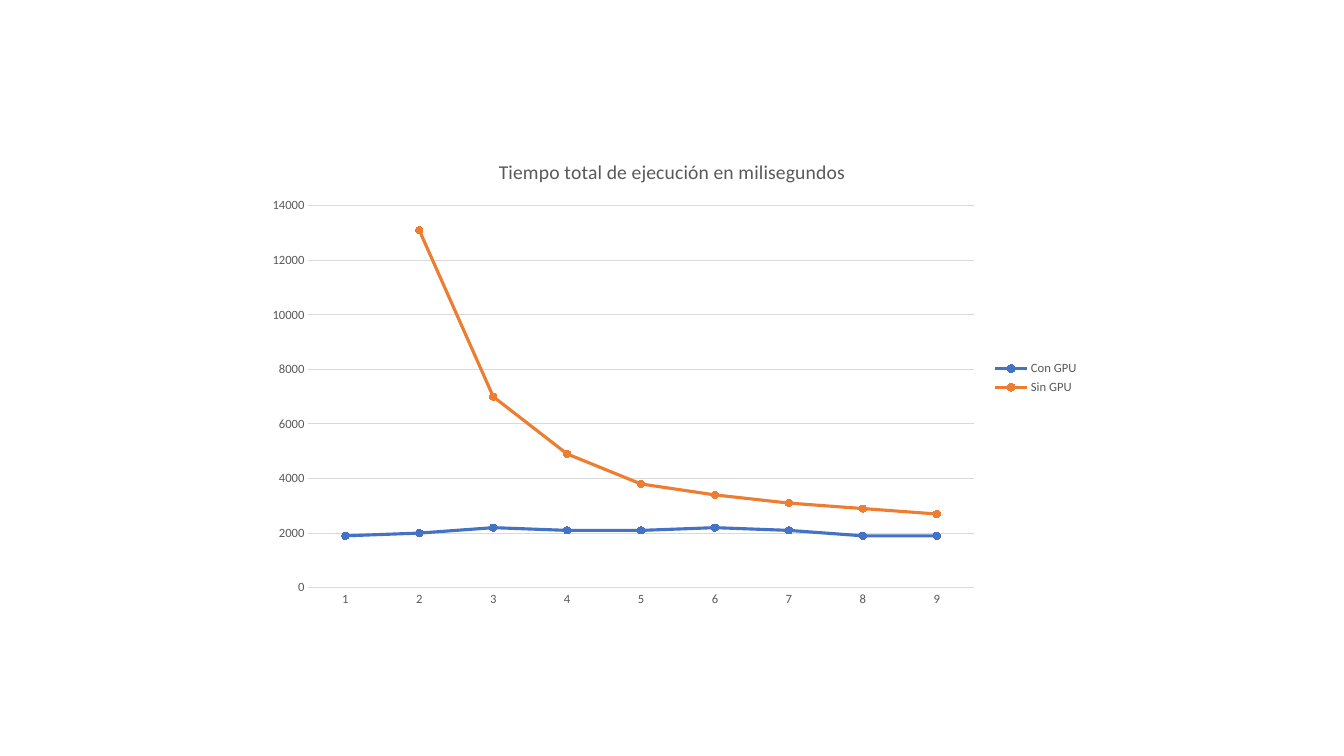
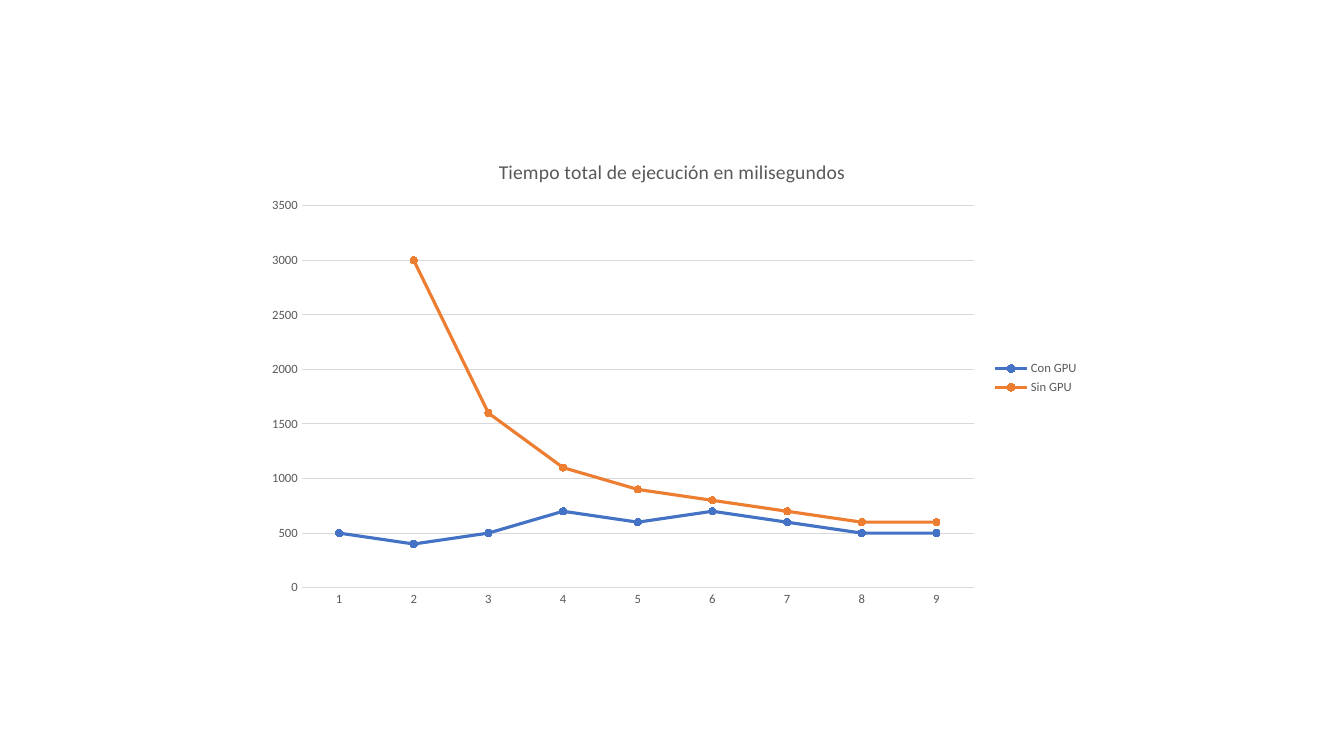
from dataclasses import dataclass

from lxml.etree import SubElement
from pptx import Presentation
from pptx.chart.data import CategoryChartData
from pptx.dml.color import RGBColor
from pptx.enum.chart import (XL_CHART_TYPE, XL_LEGEND_POSITION,
                             XL_MARKER_STYLE, XL_TICK_MARK)
from pptx.oxml import parse_xml
from pptx.oxml.ns import nsdecls, qn
from pptx.util import Inches, Pt


@dataclass(frozen=True)
class Theme:
    font: str = "Calibri"
    ink: str = "595959"
    base: str = "000000"
    grid: str = "D9D9D9"
    lines: tuple = ("4472C4", "ED7D31")
    title: float = 14
    body: float = 10
    label: float = 9
    hair: float = 0.75
    stroke: float = 2.25
    marker: int = 5


THEME = Theme()
BOX = (2.53, 1.39, 8.27, 4.72)
TITLE = "Tiempo total de ejecución en milisegundos"
CATS = [str(n) for n in range(1, 10)]
NAMES = ("Con GPU", "Sin GPU")
# Each run: left edge of the plot as a share of the chart, then both series.
RUNS = (
    (0.064,
     (1900, 2000, 2200, 2100, 2100, 2200, 2100, 1900, 1900),
     (None, 13100, 7000, 4900, 3800, 3400, 3100, 2900, 2700)),
    (0.056,
     (500, 400, 500, 700, 600, 700, 600, 500, 500),
     (None, 3000, 1600, 1100, 900, 800, 700, 600, 600)),
)


def style(font, size=THEME.label, color=THEME.ink):
    font.name = THEME.font
    font.size = Pt(size)
    font.bold = False
    font.color.rgb = RGBColor.from_string(color)


def write(frame, text, **form):
    """Put text in a frame, with its format given by keyword."""
    frame.text = text
    style(frame.paragraphs[0].runs[0].font, **form)


def stroke(line, color, width):
    line.color.rgb = RGBColor.from_string(color)
    line.width = Pt(width)


def place(part, index, **spots):
    """Fix a chart part at shares (x, y, w, h) of the chart box."""
    old = part.find(qn("c:layout"))
    if old is not None:
        part.remove(old)
    layout = parse_xml(f"<c:layout {nsdecls('c')}/>")
    manual = SubElement(layout, qn("c:manualLayout"))
    if "w" in spots:
        SubElement(manual, qn("c:layoutTarget")).set("val", "inner")
    for key in ("x", "y"):
        SubElement(manual, qn(f"c:{key}Mode")).set("val", "edge")
    for key, spot in spots.items():
        SubElement(manual, qn(f"c:{key}")).set("val", f"{spot:.3f}")
    part.insert(index, layout)


def dress_axes(chart):
    for axis in (chart.category_axis, chart.value_axis):
        axis.major_tick_mark = XL_TICK_MARK.NONE
        axis.minor_tick_mark = XL_TICK_MARK.NONE
        style(axis.tick_labels.font)
    stroke(chart.category_axis.format.line, THEME.grid, THEME.hair)
    value = chart.value_axis
    value.minimum_scale = 0
    value.format.line.fill.background()
    stroke(value.major_gridlines.format.line, THEME.grid, THEME.hair)


def dress_lines(plot):
    plot.vary_by_categories = False
    for series, color in zip(plot.series, THEME.lines):
        series.smooth = False
        stroke(series.format.line, color, THEME.stroke)
        marker = series.marker
        marker.style = XL_MARKER_STYLE.CIRCLE
        marker.size = THEME.marker
        marker.format.fill.solid()
        marker.format.fill.fore_color.rgb = RGBColor.from_string(color)
        stroke(marker.format.line, color, THEME.hair)


def add_times(slide, box, left, *rows):
    """Draw the line chart of run times in a box."""
    data = CategoryChartData()
    data.categories = CATS
    for name, row in zip(NAMES, rows):
        data.add_series(name, row)
    chart = slide.shapes.add_chart(
        XL_CHART_TYPE.LINE_MARKERS, *map(Inches, box), data).chart
    style(chart.font, size=THEME.body, color=THEME.base)

    chart.has_title = True
    write(chart.chart_title.text_frame, TITLE, size=THEME.title)
    chart.has_legend = True
    chart.legend.position = XL_LEGEND_POSITION.RIGHT
    chart.legend.include_in_layout = False
    style(chart.legend.font)

    dress_axes(chart)
    dress_lines(chart.plots[0])
    root = chart.element.find(qn("c:chart"))
    place(root.find(qn("c:title")), 1, x=0.288, y=0.03)
    place(root.find(qn("c:plotArea")), 0,
          x=left, y=0.138, w=0.862 - left, h=0.803)


def main():
    deck = Presentation()
    deck.slide_width, deck.slide_height = Inches(13.33), Inches(7.5)
    for run in RUNS:
        slide = deck.slides.add_slide(deck.slide_layouts[6])
        add_times(slide, BOX, *run)
    deck.save("out.pptx")


if __name__ == "__main__":
    main()
